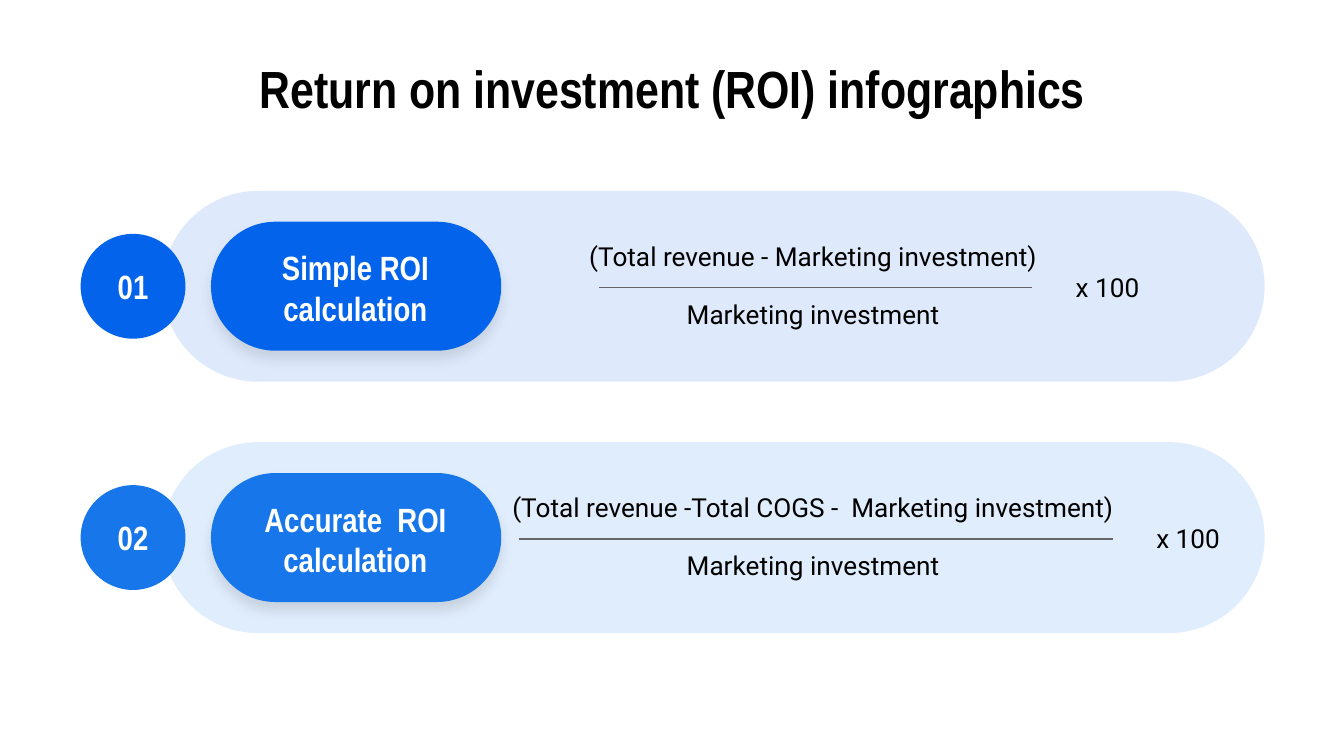
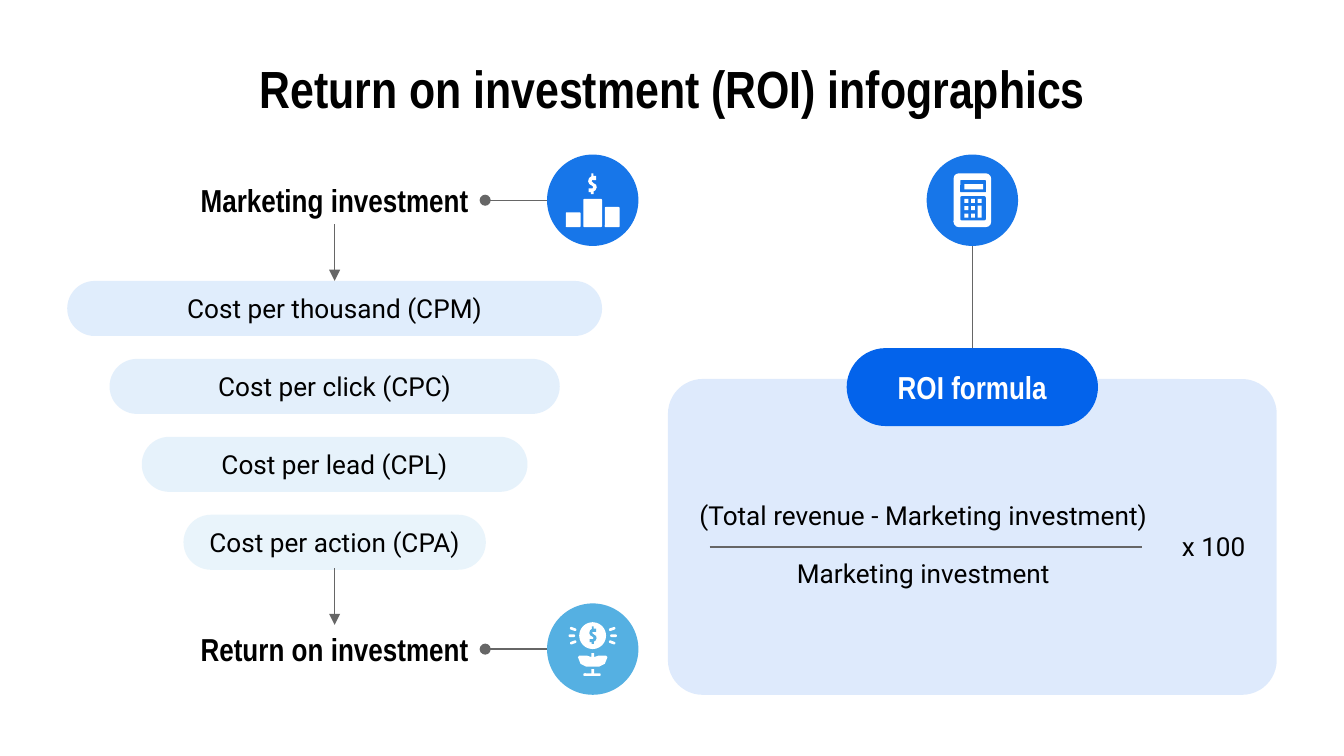
from dataclasses import dataclass

from lxml import etree
from pptx import Presentation
from pptx import util as u
from pptx.dml.color import RGBColor
from pptx.enum import shapes, text
from pptx.oxml import ns


@dataclass(frozen=True)
class Theme:
    royal: str = "0363EB"
    azure: str = "1776E9"
    cornflower: str = "2C89E7"
    sky: str = "409DE4"
    aqua: str = "55B0E2"
    ink: str = "000000"
    white: str = "FFFFFF"
    rule: str = "666666"
    heading_font: str = "Arial Narrow"
    body_font: str = "Roboto"
    title_size: float = 28
    badge_size: float = 18
    label_size: float = 17
    body_size: float = 14
    rule_width: float = 0.75
    tint: int = 13


@dataclass(frozen=True)
class Formula:
    numerator: str
    text_width: float
    line_width: float
    times_width: float = 0.78


THEME = Theme()
SLIDE_WIDTH = 10
SLIDE_HEIGHT = SLIDE_WIDTH * 9 / 16
TITLE = "Return on investment (ROI) infographics"
SIMPLE = "(Total revenue - Marketing investment)"
ACCURATE = "(Total revenue -Total COGS -  Marketing investment)"
INVESTMENT = "Marketing investment"
OVAL = shapes.MSO_SHAPE.OVAL
RECTANGLE = shapes.MSO_SHAPE.RECTANGLE
ROUNDED = shapes.MSO_SHAPE.ROUNDED_RECTANGLE
DOLLAR = [(3, 0), (4.5, 0), (4.5, 2), (6.5, 2), (6.5, 5), (3.5, 5), (3.2, 6), (4.5, 7.2),
          (6.5, 8.5), (7, 10.5), (6, 12.6), (4.7, 13.3), (4.7, 15.5), (2.7, 15.5),
          (2.7, 14), (1, 14), (1, 11.2), (4, 11.2), (4.3, 10), (3.5, 9.2), (1.5, 8),
          (0.6, 6), (1.3, 3.5), (3, 2.3)]
LEAVES = [(1, 2), (7, 2), (10, 3), (10, 0), (12, 0), (12, 3), (15, 2), (21, 2), (22, 3),
          (20, 8), (16, 10), (6, 10), (2, 8), (0, 3)]


def inches(*lengths):
    return [u.Inches(length) for length in lengths]


def child(parent, tag, **attributes):
    values = {name: str(value) for name, value in attributes.items()}
    return etree.SubElement(parent, ns.qn(tag), values)


def write(shape, words, size, font, color, bold=False):
    frame = shape.text_frame
    frame.word_wrap = True
    frame.auto_size = text.MSO_AUTO_SIZE.NONE
    frame.vertical_anchor = text.MSO_ANCHOR.MIDDLE
    frame.margin_left = frame.margin_right = u.Inches(0.1)
    frame.margin_top = frame.margin_bottom = u.Inches(0.1)
    frame.text = words
    paragraph = frame.paragraphs[0]
    paragraph.alignment = text.PP_ALIGN.CENTER
    paragraph.font.size = u.Pt(size)
    paragraph.font.name = font
    paragraph.font.bold = bold
    paragraph.font.color.rgb = RGBColor.from_string(color)


def write_body(shape, words):
    write(shape, words, THEME.body_size, THEME.body_font, THEME.ink)


def write_heading(shape, words, size, color):
    write(shape, words, size, THEME.heading_font, color, True)


def add_box(slide, *box):
    return slide.shapes.add_textbox(*inches(*box))


def paint(shape, color):
    shape.shadow.inherit = False
    shape.fill.solid()
    shape.fill.fore_color.rgb = RGBColor.from_string(color)
    shape.line.fill.background()


def add_filled(slide, kind, box, color, alpha=None, corner=None):
    shape = slide.shapes.add_shape(kind, *inches(*box))
    paint(shape, color)
    if corner is not None:
        shape.adjustments[0] = corner
    if alpha:
        child(shape.element.spPr.find(".//" + ns.qn("a:srgbClr")), "a:alpha", val=alpha * 1000)
    return shape


def add_pill(slide, box, color, alpha=None):
    return add_filled(slide, ROUNDED, box, color, alpha, 0.5)


def drop_shadow(shape):
    effects = shape.element.spPr.find(ns.qn("a:effectLst"))
    shadow = child(effects, "a:outerShdw", blurRad=u.Pt(6.8), dist=u.Pt(4.5),
                   dir=90 * 60000, algn="bl", rotWithShape=0)
    child(child(shadow, "a:srgbClr", val=THEME.ink), "a:alpha", val=11000)


def add_rule(slide, x1, y1, x2, y2, end=None):
    rule = slide.shapes.add_connector(shapes.MSO_CONNECTOR.STRAIGHT, *inches(x1, y1, x2, y2))
    rule.line.width = u.Pt(THEME.rule_width)
    rule.line.color.rgb = RGBColor.from_string(THEME.rule)
    properties = rule.element.spPr
    if end:
        child(properties.get_or_add_ln(), "a:tailEnd", type=end, w="med", len="med")
    child(properties, "a:effectLst")


def add_outline(slide, points, left, top, color, unit=0.01):
    corners = [inches(left + x * unit, top + y * unit) for x, y in points]
    builder = slide.shapes.build_freeform(*corners[0], scale=1.0)
    builder.add_line_segments(corners[1:], close=True)
    paint(builder.convert_to_shape(), color)


def add_slide(presentation):
    slide = presentation.slides.add_slide(presentation.slide_layouts[5])
    title = slide.shapes.title
    title.left, title.top, title.width, title.height = inches(0.5, 0.45, 9, 0.41)
    write_heading(title, TITLE, THEME.title_size, THEME.ink)
    return slide


def add_formula(slide, center, top, formula):
    middle = top + 0.4
    start = center + 0.02 - formula.line_width / 2
    end = start + formula.line_width
    add_rule(slide, start, middle, end, middle)
    parts = [
        (formula.numerator, center - formula.text_width / 2, top, formula.text_width),
        (INVESTMENT, center - 1.79, top + 0.43, 3.58),
        ("x 100", end + 0.17, top + 0.23, formula.times_width),
    ]
    for words, left, part_top, width in parts:
        write_body(add_box(slide, left, part_top, width, 0.33), words)


def add_calculation(slide, left, top, number, name, color, formula):
    add_pill(slide, (left + 0.61, top, 8.2, 1.42), color, THEME.tint)
    drop_shadow(add_pill(slide, (left + 0.97, top + 0.23, 2.16, 0.96), color))
    label = add_box(slide, left + 1.16, top + 0.42, 1.77, 0.6)
    write_heading(label, name, THEME.badge_size, THEME.white)
    add_formula(slide, left + 5.45, top + 0.32, formula)
    badge = add_filled(slide, OVAL, (left, top + 0.32, 0.78, 0.78), color)
    write_heading(badge, number, THEME.badge_size, THEME.white)


def add_circle(slide, left, top, color):
    add_filled(slide, OVAL, (left, top, 0.68, 0.68), color)


def add_podium_icon(slide, left, top):
    add_circle(slide, left, top, THEME.azure)
    for x, y, width in [(0.14, 0.43, 0.11), (0.27, 0.33, 0.14), (0.43, 0.39, 0.11)]:
        box = (left + x, top + y, width, 0.54 - y)
        add_filled(slide, ROUNDED, box, THEME.white, corner=0.06)
    add_outline(slide, DOLLAR, left + 0.3, top + 0.14, THEME.white)


def add_plant_icon(slide, left, top):
    add_circle(slide, left, top, THEME.aqua)
    center_x, center_y = left + 0.34, top + 0.24
    add_filled(slide, OVAL, (center_x - 0.1, center_y - 0.1, 0.2, 0.2), THEME.white)
    add_outline(slide, DOLLAR, center_x - 0.03, center_y - 0.07, THEME.aqua, 0.0085)
    for side in (-1, 1):
        for step in (-1, 0, 1):
            x = center_x + side * (0.155 - 0.01 * abs(step))
            y = center_y + 0.05 * step
            ray = add_pill(slide, (x - 0.025, y - 0.01, 0.05, 0.02), THEME.white)
            ray.rotation = 20 * side * step
    add_outline(slide, LEAVES, left + 0.23, top + 0.37, THEME.white)
    add_filled(slide, RECTANGLE, (left + 0.33, top + 0.49, 0.02, 0.04), THEME.white)
    add_pill(slide, (left + 0.27, top + 0.52, 0.13, 0.02), THEME.white)


def add_calculator_icon(slide, left, top):
    add_circle(slide, left, top, THEME.azure)
    add_filled(slide, ROUNDED, (left + 0.2, top + 0.14, 0.28, 0.4), THEME.white, corner=0.14)
    for y, height in [(0.19, 0.09), (0.31, 0.18)]:
        box = (left + 0.25, top + y, 0.19, height)
        add_filled(slide, ROUNDED, box, THEME.azure, corner=0.06)
    keys = [(0.28, 0.22, 0.14, 0.04), (0.38, 0.38, 0.03, 0.09), (0.38, 0.33, 0.03, 0.03)]
    keys += [(0.28 + 0.05 * column, 0.33 + 0.055 * row, 0.03, 0.03)
             for row in range(3) for column in range(2)]
    for x, y, width, height in keys:
        add_filled(slide, RECTANGLE, (left + x, top + y, width, height), THEME.white)


def add_funnel(slide, left, top, width):
    center = left + width / 2
    steps = [
        ("Cost per thousand (CPM)", width, THEME.azure),
        ("Cost per click (CPC)", 3.35, THEME.cornflower),
        ("Cost per lead (CPL)", 2.87, THEME.sky),
        ("Cost per action (CPA)", 2.25, THEME.aqua),
    ]
    for index, (name, bar_width, color) in enumerate(steps):
        box = (center - bar_width / 2, top + 0.94 + 0.58 * index, bar_width, 0.41)
        write_body(add_pill(slide, box, color, THEME.tint), name)
    ends = [(INVESTMENT, 0.16, 0.52, add_podium_icon),
            ("Return on investment", 3.5, 3.08, add_plant_icon)]
    for name, label_top, arrow_top, add_icon in ends:
        label = add_box(slide, center - 1.125, top + label_top, 2.25, 0.36)
        write_heading(label, name, THEME.label_size, THEME.ink)
        add_rule(slide, center, top + arrow_top, center, top + arrow_top + 0.42, "triangle")
        middle = top + label_top + 0.18
        add_icon(slide, left + 3.57, middle - 0.34)
        add_rule(slide, left + 3.57, middle, left + 3.11, middle, "oval")


def add_formula_card(slide, left, top, width):
    center = left + width / 2
    card = (left, top + 1.67, width, 2.35)
    add_filled(slide, ROUNDED, card, THEME.royal, THEME.tint, 0.11)
    add_pill(slide, (center - 0.935, top + 1.44, 1.87, 0.58), THEME.royal)
    label = add_box(slide, center - 0.75, top + 1.55, 1.5, 0.36)
    write_heading(label, "ROI formula", THEME.label_size, THEME.white)
    add_formula(slide, left + 1.9, top + 2.52, Formula(SIMPLE, 3.58, 3.22, 0.72))
    add_calculator_icon(slide, center - 0.34, top)
    add_rule(slide, center, top + 0.68, center, top + 1.44)


def build_calculations(presentation):
    slide = add_slide(presentation)
    rows = [
        ("01", "Simple ROI calculation", THEME.royal, Formula(SIMPLE, 3.58, 3.22)),
        ("02", "Accurate  ROI calculation", THEME.azure, Formula(ACCURATE, 4.88, 4.42)),
    ]
    for index, row in enumerate(rows):
        add_calculation(slide, 0.6, 1.42 + 1.87 * index, *row)


def build_cost_funnel(presentation):
    slide = add_slide(presentation)
    add_formula_card(slide, 4.97, 1.15, 4.53)
    add_funnel(slide, 0.5, 1.15, 3.98)


def main():
    presentation = Presentation()
    presentation.slide_width, presentation.slide_height = inches(SLIDE_WIDTH, SLIDE_HEIGHT)
    build_calculations(presentation)
    build_cost_funnel(presentation)
    presentation.save("out.pptx")


if __name__ == "__main__":
    main()
